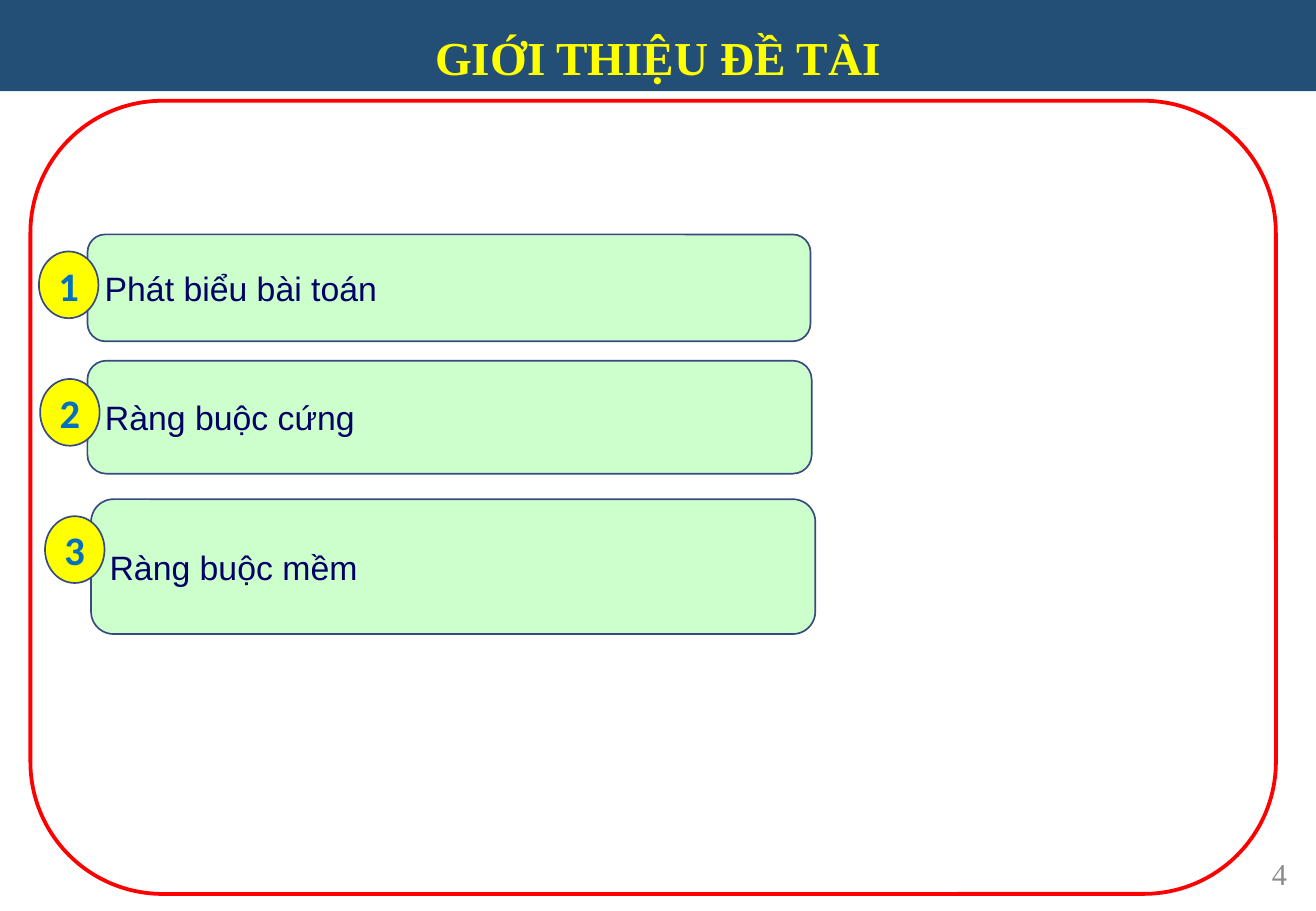
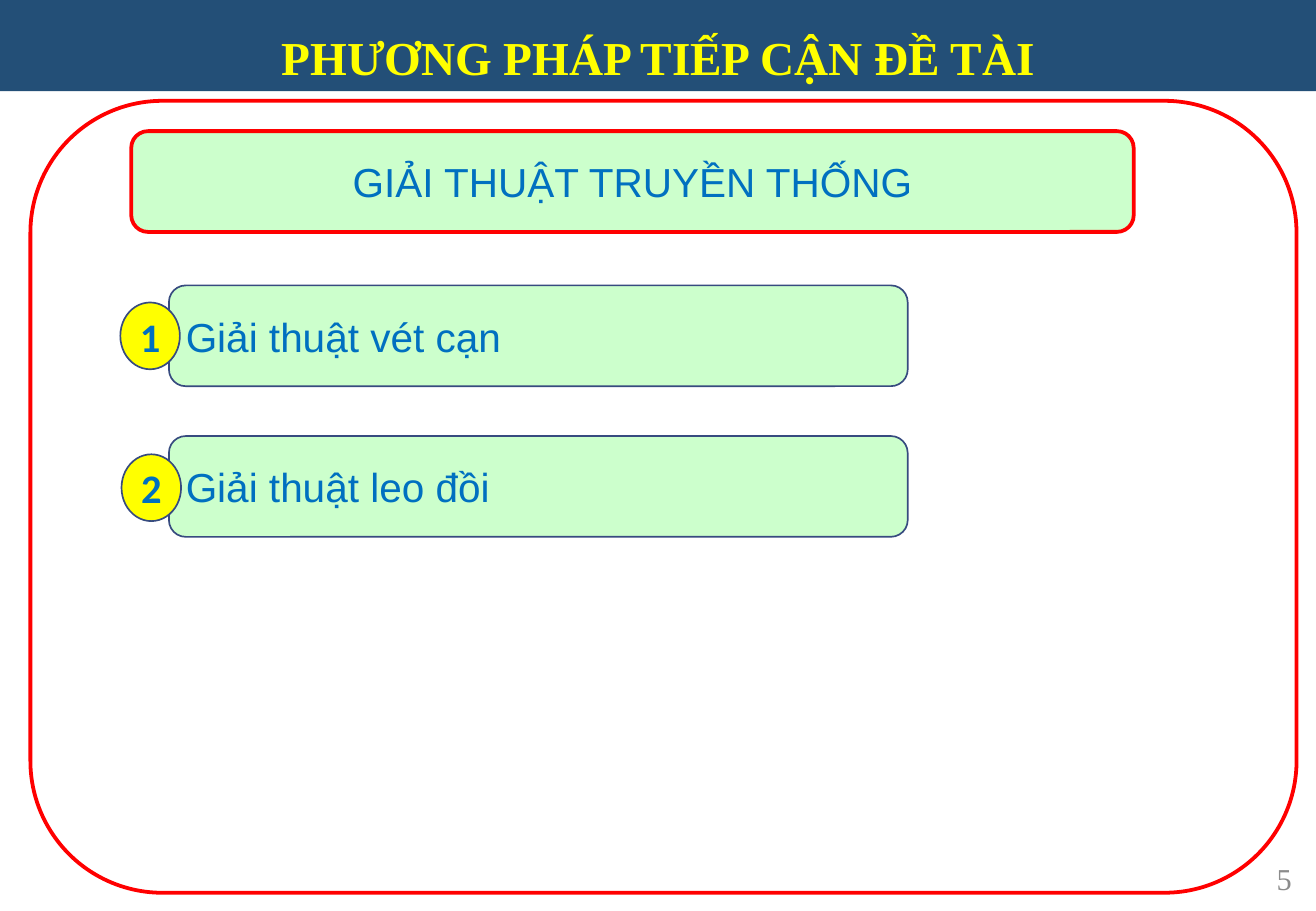
from pptx import Presentation
from pptx.dml.color import RGBColor
from pptx.enum.shapes import MSO_SHAPE as SHAPE
from pptx.enum.text import MSO_ANCHOR as ANCHOR, PP_ALIGN as ALIGN
from pptx.util import Emu, Pt

PX = 9144  # 100 px to the inch
WIDTH, HEIGHT = 1083, 750
BADGE_SIZE = (49, 55)
COLORS = {
    "band": "234F77", "title": "FFFF00", "frame": "FF0000", "card": "CCFFCC",
    "outline": "374B7F", "badge": "FFFF00", "navy": "000066",
    "blue": "0070C0", "number": "8C8C8C",
}

# Each item: text, card box, top left corner of its numbered badge
SLIDES = [
    {
        "title": "GIỚI THIỆU ĐỀ TÀI",
        "frame": (25, 83, 1025, 653),
        "number": ("4", (825, 699, 244, 40)),
        "heading": None,
        "item_style": (20, "navy"),
        "items": [
            ("Phát biểu bài toán", (72, 193, 595, 88), (32, 207)),
            ("Ràng buộc cứng", (72, 297, 596, 93), (33, 312)),
            ("Ràng buộc mềm", (75, 411, 596, 111), (37, 425)),
        ],
    },
    {
        "title": "PHƯƠNG PHÁP TIẾP CẬN ĐỀ TÀI",
        "frame": (25, 83, 1042, 652),
        "number": ("5", (829, 703, 244, 40)),
        "heading": ("GIẢI THUẬT TRUYỀN THỐNG", (108, 108, 825, 83)),
        "item_style": (24, "blue"),
        "items": [
            ("Giải thuật vét cạn", (139, 235, 608, 83), (99, 249)),
            ("Giải thuật leo đồi", (139, 359, 608, 83), (100, 374)),
        ],
    },
]


def write(shape, text, font, size, color, align, bold=False, anchor=ANCHOR.MIDDLE):
    """Fill the shape with one formatted paragraph."""
    frame = shape.text_frame
    frame.text = text
    frame.word_wrap = True
    frame.vertical_anchor = anchor
    paragraph = frame.paragraphs[0]
    paragraph.alignment = align
    run_font = paragraph.runs[0].font
    run_font.name = font
    run_font.size = Pt(size)
    run_font.bold = bold
    run_font.color.rgb = RGBColor.from_string(COLORS[color])


def add_box(slide, kind, box, fill, line, line_width):
    shape = slide.shapes.add_shape(kind, *[Emu(length * PX) for length in box])
    shape.shadow.inherit = False
    if fill:
        shape.fill.solid()
        shape.fill.fore_color.rgb = RGBColor.from_string(COLORS[fill])
    else:
        shape.fill.background()
    shape.line.color.rgb = RGBColor.from_string(COLORS[line])
    shape.line.width = Pt(line_width)
    return shape


presentation = Presentation()
presentation.slide_width = Emu(WIDTH * PX)
presentation.slide_height = Emu(HEIGHT * PX)
title_only = presentation.slide_layouts[5]

for content in SLIDES:
    slide = presentation.slides.add_slide(title_only)

    title = slide.shapes.title
    title.left, title.top = Emu(0), Emu(0)
    title.width, title.height = Emu(WIDTH * PX), Emu(75 * PX)
    title.fill.solid()
    title.fill.fore_color.rgb = RGBColor.from_string(COLORS["band"])
    write(title, content["title"], "Times New Roman", 28, "title", ALIGN.CENTER,
          bold=True, anchor=ANCHOR.BOTTOM)

    add_box(slide, SHAPE.ROUNDED_RECTANGLE, content["frame"], None, "frame", 2.25)

    number, number_box = content["number"]
    number_text = slide.shapes.add_textbox(*[Emu(length * PX) for length in number_box])
    write(number_text, number, "Times New Roman", 18, "number", ALIGN.RIGHT)

    if content["heading"]:
        text, box = content["heading"]
        heading = add_box(slide, SHAPE.ROUNDED_RECTANGLE, box, "card", "frame", 2.25)
        write(heading, text, "Arial", 24, "blue", ALIGN.CENTER)

    size, color = content["item_style"]
    for index, (text, card_box, badge_corner) in enumerate(content["items"], start=1):
        card = add_box(slide, SHAPE.ROUNDED_RECTANGLE, card_box, "card", "outline", 1)
        write(card, text, "Arial", size, color, ALIGN.LEFT)

        badge = add_box(slide, SHAPE.FLOWCHART_CONNECTOR, badge_corner + BADGE_SIZE,
                        "badge", "outline", 1)
        write(badge, str(index), "Calibri", 24, "blue", ALIGN.CENTER, bold=True)
        badge.text_frame.margin_left = badge.text_frame.margin_right = 0

presentation.save("out.pptx")
